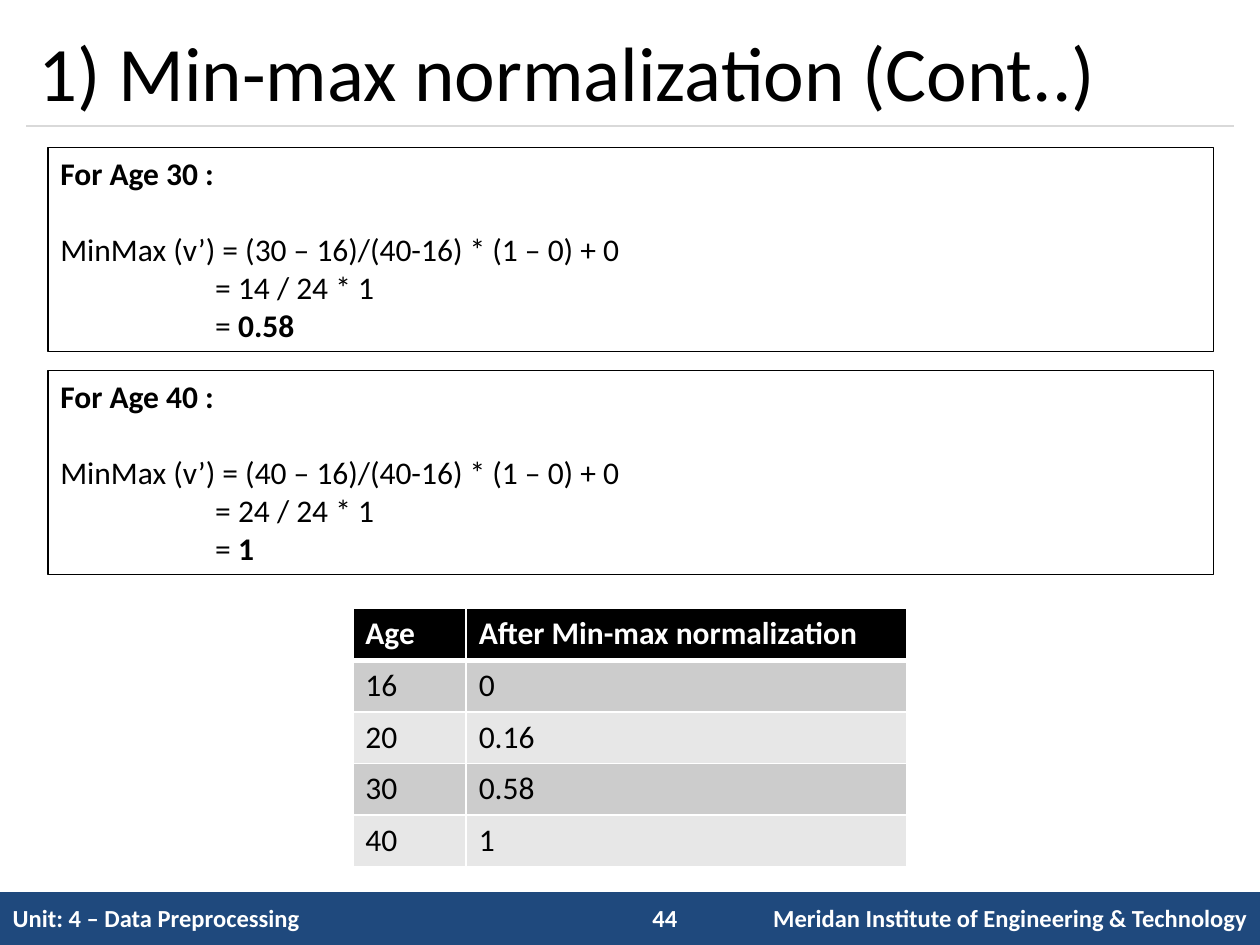
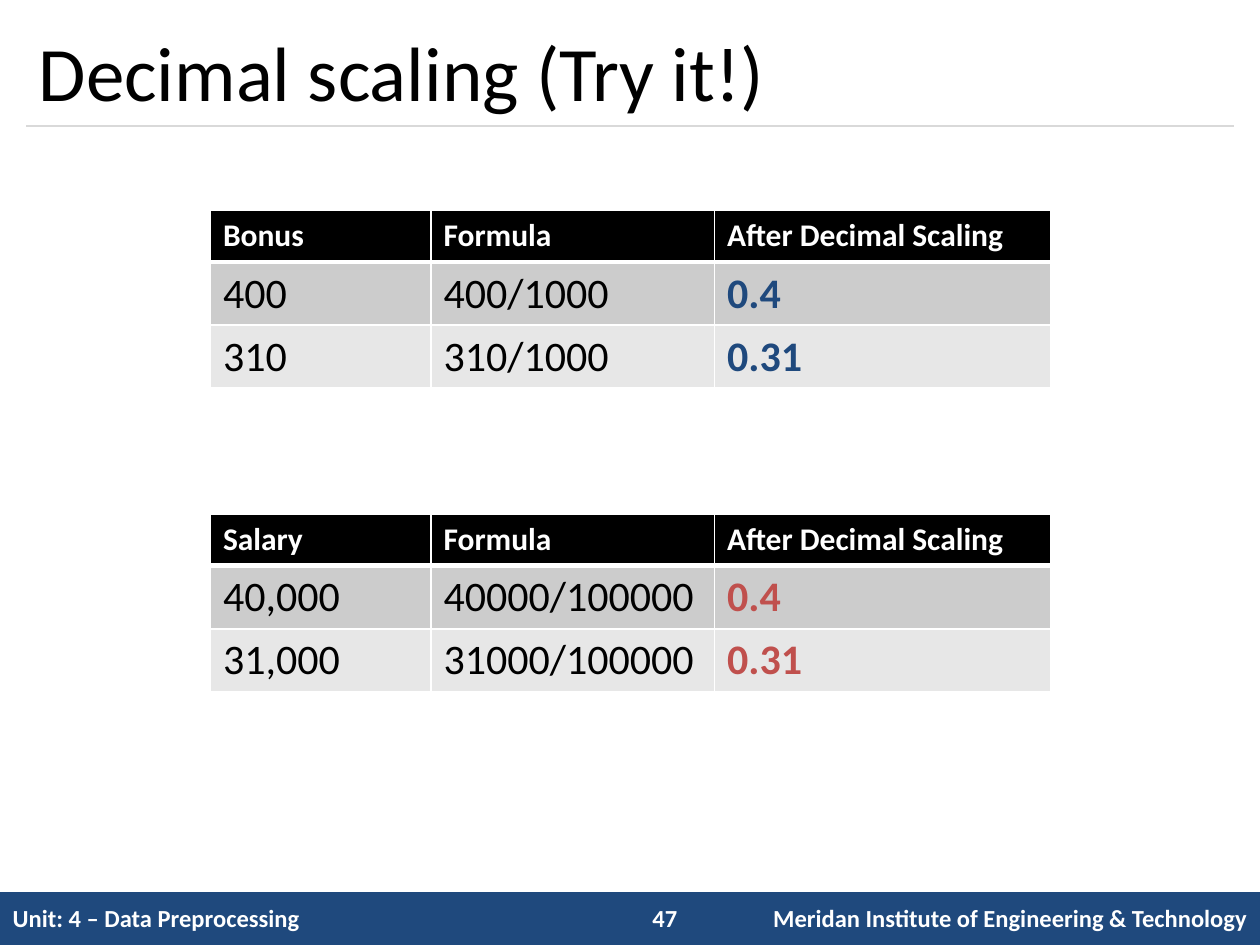
from lxml.etree import SubElement
from pptx import Presentation
from pptx.dml.color import RGBColor
from pptx.enum.shapes import MSO_CONNECTOR, MSO_SHAPE
from pptx.enum.text import MSO_ANCHOR, PP_ALIGN
from pptx.oxml.ns import qn
from pptx.util import Inches, Pt

FONT = "Calibri"
COLORS = {
    "text": "000000", "white": "FFFFFF", "rule": "D9D9D9",
    "band": "34495E", "navy": "1F497D", "red": "C0504D",
    "header": "000000", "odd_row": "CCCCCC", "even_row": "E7E7E7",
}
UNIT = "Unit: 4 – Data Preprocessing"
INSTITUTE = "Meridan Institute of Engineering & Technology"

SLIDES = [
    {
        "title": "1) Min-max normalization (Cont..)", "number": 44,
        "workings": [
            {"top": 1.17, "heading": "For Age 30 :",
             "formula": "MinMax (v’) = (30 – 16)/(40-16) * (1 – 0) + 0",
             "step": "= 14 / 24 * 1", "result": "0.58"},
            {"top": 2.94, "heading": "For Age 40 :",
             "formula": "MinMax (v’) = (40 – 16)/(40-16) * (1 – 0) + 0",
             "step": "= 24 / 24 * 1", "result": "1"},
        ],
        "tables": [
            {"left": 2.8, "top": 4.83, "widths": [0.9, 3.5],
             "row_height": 0.41, "size": 18, "accent": None,
             "rows": [("Age", "After Min-max normalization"),
                      ("16", "0"), ("20", "0.16"), ("30", "0.58"), ("40", "1")]},
        ],
    },
    {
        "title": "Decimal scaling (Try it!)", "number": 47,
        "workings": [],
        "tables": [
            {"left": 1.67, "top": top, "widths": [1.75, 2.25, 2.67],
             "row_height": 0.5, "size": 24, "accent": accent,
             "rows": [(quantity, "Formula", "After Decimal Scaling"), *rows]}
            for quantity, top, accent, rows in [
                ("Bonus", 1.67, "navy",
                 [("400", "400/1000", "0.4"), ("310", "310/1000", "0.31")]),
                ("Salary", 4.08, "red",
                 [("40,000", "40000/100000", "0.4"),
                  ("31,000", "31000/100000", "0.31")]),
            ]
        ],
    },
]


def rgb(name):
    """Return the named colour."""
    return RGBColor.from_string(COLORS[name])


def format_runs(paragraph, size, color="text", bold=False):
    """Give every run of a paragraph the deck font."""
    for run in paragraph.runs:
        run.font.name, run.font.size, run.font.bold = FONT, Pt(size), bold
        run.font.color.rgb = rgb(color)


def add_rectangle(slide, left, top, width, height, fill=None, line=None):
    """Add a flat rectangle with an optional fill and outline."""
    shape = slide.shapes.add_shape(MSO_SHAPE.RECTANGLE, Inches(left), Inches(top),
                                   Inches(width), Inches(height))
    shape.shadow.inherit = False
    if fill:
        shape.fill.solid()
        shape.fill.fore_color.rgb = rgb(fill)
    else:
        shape.fill.background()
    if line:
        shape.line.color.rgb = rgb(line)
        shape.line.width = Pt(0.75)
    else:
        shape.line.fill.background()
    shape.text_frame.vertical_anchor = MSO_ANCHOR.TOP
    shape.text_frame.paragraphs[0].alignment = PP_ALIGN.LEFT
    return shape


def style_cell(cell, fill, bottom=1, border=True):
    """Fill a cell and set its four borders."""
    properties = cell._tc.get_or_add_tcPr()
    for side, width in (("L", 1), ("R", 1), ("T", 1), ("B", bottom)):
        line = SubElement(properties, qn(f"a:ln{side}"), w=str(Pt(width)))
        if border:
            solid = SubElement(line, qn("a:solidFill"))
            SubElement(solid, qn("a:srgbClr"), val=COLORS["white"])
        else:
            SubElement(line, qn("a:noFill"))
    cell.fill.solid()
    cell.fill.fore_color.rgb = rgb(fill)


def add_grid(slide, left, top, widths, heights):
    """Add an empty table with the given column widths and row heights."""
    table = slide.shapes.add_table(
        len(heights), len(widths), Inches(left), Inches(top),
        Inches(sum(widths)), Inches(sum(heights))).table
    for column, width in zip(table.columns, widths):
        column.width = Inches(width)
    for row, height in zip(table.rows, heights):
        row.height = Inches(height)
    return table


def add_data_table(slide, left, top, widths, row_height, size, accent, rows):
    """Add a banded table with a black header and an optional accent column."""
    heights = [0.41] + [row_height] * (len(rows) - 1)
    table = add_grid(slide, left, top, widths, heights)
    for i, row in enumerate(rows):
        for j, text in enumerate(row):
            cell = table.cell(i, j)
            cell.text_frame.text = text
            paragraph = cell.text_frame.paragraphs[0]
            if i == 0:
                style_cell(cell, "header", bottom=3)
                format_runs(paragraph, 18, "white", True)
            else:
                style_cell(cell, "odd_row" if i % 2 else "even_row")
                accented = accent is not None and j == len(row) - 1
                format_runs(paragraph, size, accent if accented else "text", accented)


def add_working(slide, top, heading, formula, step, result):
    """Add an outlined box with one worked calculation."""
    frame = add_rectangle(slide, 0.38, top, 9.25, 1.62, line="text").text_frame
    frame.text = "\n".join([heading, formula, step, "= "])
    frame.paragraphs[-1].add_run().text = result
    for i, paragraph in enumerate(frame.paragraphs):
        paragraph.alignment = PP_ALIGN.LEFT
        format_runs(paragraph, 18, bold=i == 0)
        if i >= 2:
            paragraph._p.get_or_add_pPr().set("marL", str(Inches(1.23)))
    frame.paragraphs[0].space_after = Pt(22)
    frame.paragraphs[-1].runs[-1].font.bold = True


def add_frame(slide, title, number):
    """Add the title, its rule and the footer shared by all slides."""
    add_rectangle(slide, 0, 7.08, 10, 0.42, fill="band")
    rule = slide.shapes.add_connector(MSO_CONNECTOR.STRAIGHT, Inches(0.21), Inches(1),
                                      Inches(9.79), Inches(1))
    rule.line.color.rgb = rgb("rule")
    rule.line.width = Pt(0.75)
    SubElement(rule._element.spPr, qn("a:effectLst"))

    footer = add_grid(slide, 0, 7.08, [5.08, 0.67, 4.25], [0.43])
    for cell, text, alignment in zip(
            footer.rows[0].cells, (UNIT, "", INSTITUTE),
            (PP_ALIGN.LEFT, PP_ALIGN.CENTER, PP_ALIGN.RIGHT)):
        style_cell(cell, "navy", border=False)
        cell.vertical_anchor = MSO_ANCHOR.MIDDLE
        cell.text_frame.text = text
        paragraph = cell.text_frame.paragraphs[0]
        paragraph.alignment = alignment
        format_runs(paragraph, 14, "white", True)

    page = add_rectangle(slide, 5.08, 7.12, 0.58, 0.34, fill="navy")
    page.text_frame.text = str(number)
    format_runs(page.text_frame.paragraphs[0], 14, "white", True)

    box = slide.shapes.add_textbox(Inches(0.21), Inches(0.12), Inches(9.58), Inches(0.88))
    box.text_frame.word_wrap = True
    box.text_frame.vertical_anchor = MSO_ANCHOR.MIDDLE
    box.text_frame.text = title
    format_runs(box.text_frame.paragraphs[0], 44)


def main():
    """Build and save the presentation."""
    presentation = Presentation()
    presentation.slide_width, presentation.slide_height = Inches(10), Inches(7.5)
    for content in SLIDES:
        slide = presentation.slides.add_slide(presentation.slide_layouts[6])
        add_frame(slide, content["title"], content["number"])
        for table in content["tables"]:
            add_data_table(slide, **table)
        for working in content["workings"]:
            add_working(slide, **working)
    presentation.save("out.pptx")


main()
